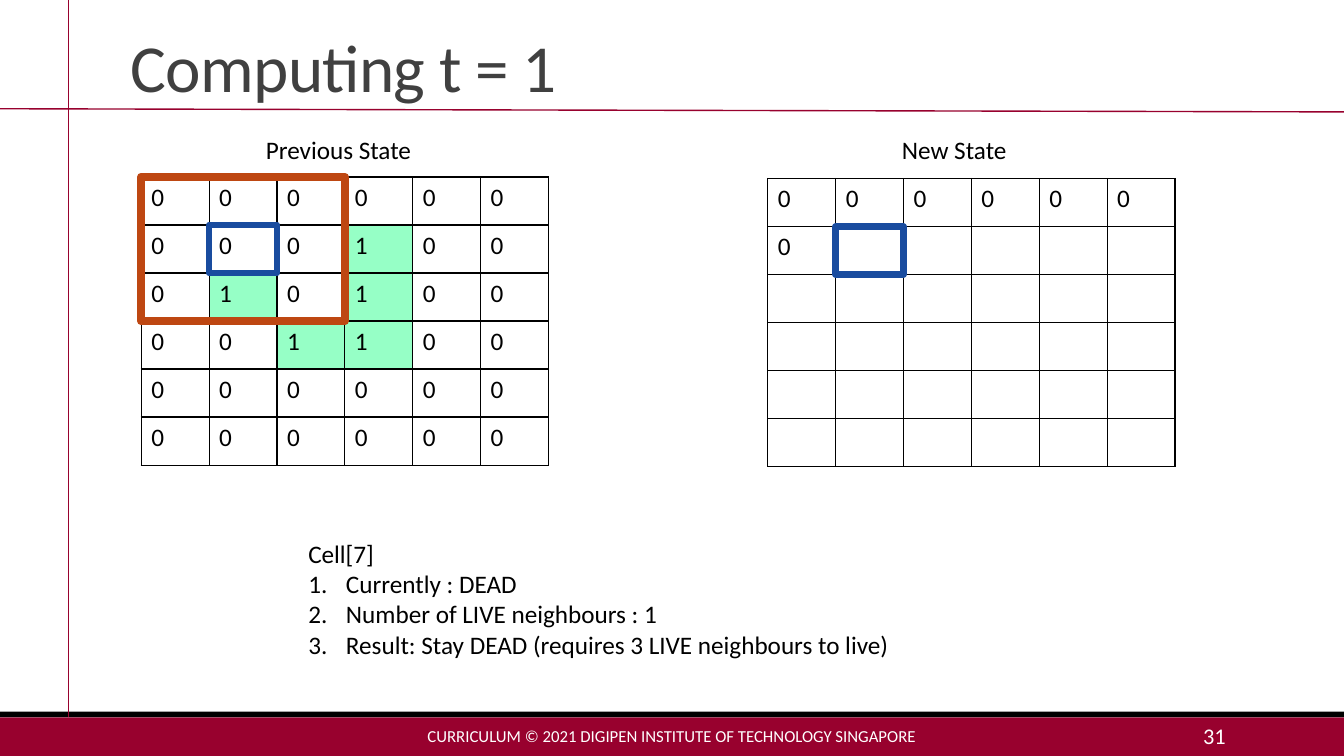
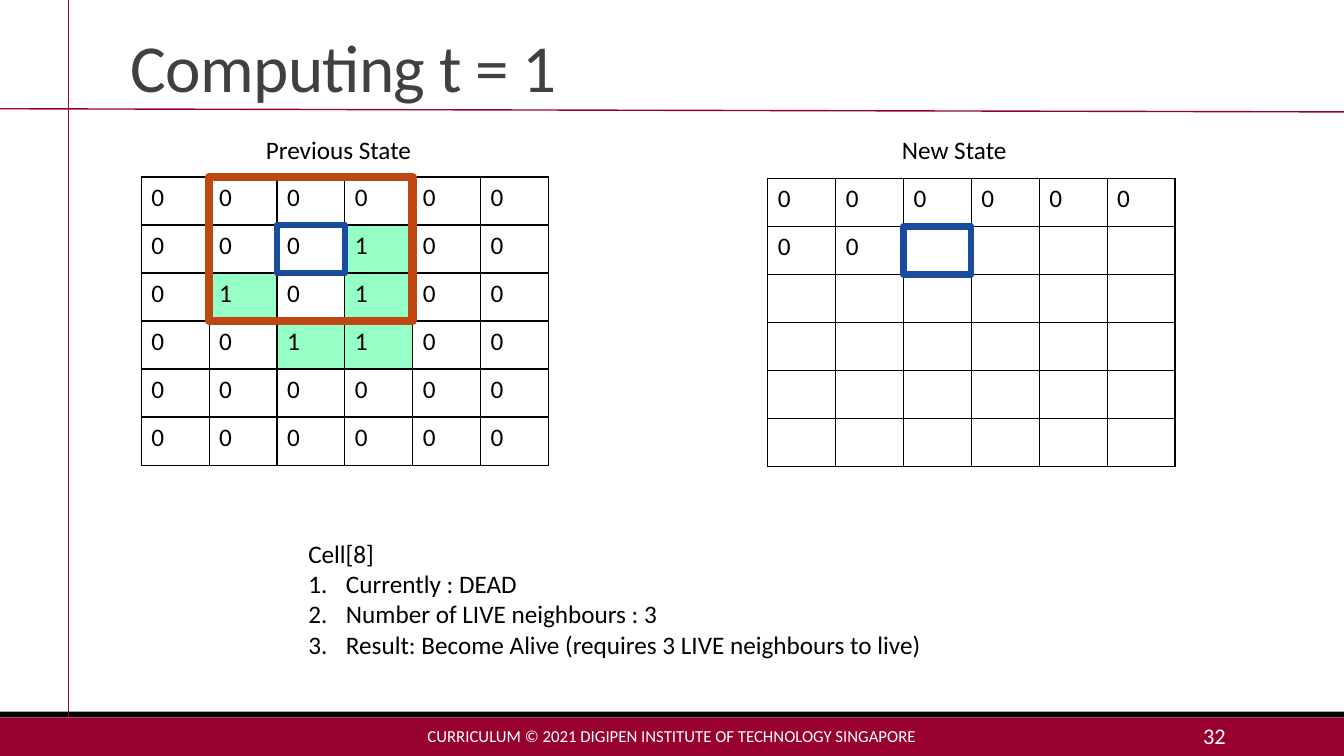
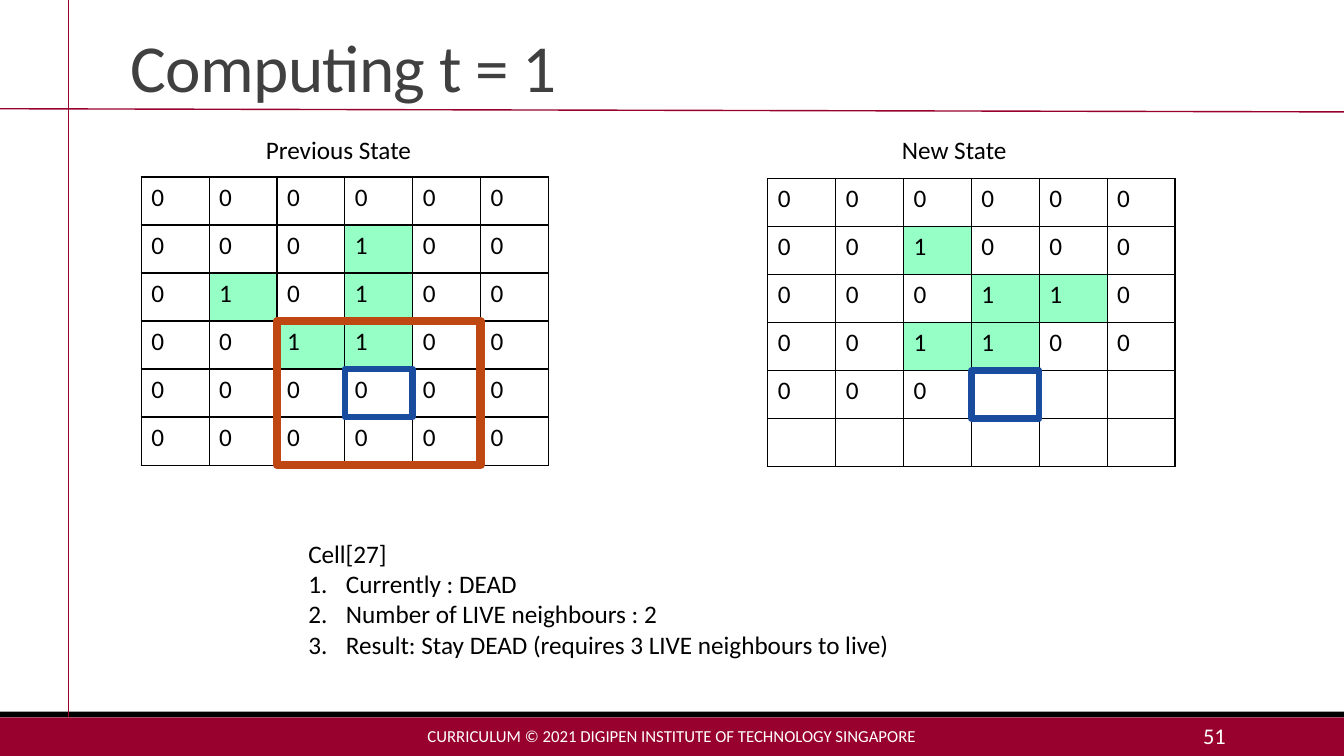
from dataclasses import dataclass

from lxml.etree import SubElement
from pptx import Presentation
from pptx.dml.color import RGBColor
from pptx.enum.shapes import MSO_CONNECTOR as CONNECTOR, MSO_SHAPE as SHAPE
from pptx.enum.text import MSO_ANCHOR as ANCHOR, MSO_AUTO_SIZE as AUTO, PP_ALIGN as ALIGN
from pptx.oxml.ns import qn
from pptx.util import Cm, Pt

FONT = "Calibri"
CRIMSON, BLACK, WHITE, GREY = "98012E", "000000", "FFFFFF", "404040"
ALIVE, ORANGE, BLUE = "96FFC6", "BE4712", "194C9F"
WIDTH, HEIGHT = 33.87, 19.05
BAND_TOP = 18.08

N = 6
COL, ROW = 1.71, 1.21
PREVIOUS = "000000" "000100" "010100" "001100" "000000" "000000"
NEXT = "000000" "001000" "000110" "001100" "000000" "000000"


@dataclass
class Grid:
    """A table of N by N cells; lengths in cm."""
    title: str
    title_left: float
    left: float
    top: float


@dataclass
class Step:
    """One slide: the cell being computed and its outcome."""
    page: int
    cell: int
    neighbours: int
    result: str


OLD = Grid("Previous State", 6.45, 3.56, 4.46)
NEW = Grid("New State", 22.48, 19.35, 4.5)
STEPS = [
    Step(31, 7, 1, "Stay DEAD"),
    Step(32, 8, 3, "Become Alive"),
    Step(51, 27, 2, "Stay DEAD"),
]


def rgb(value: str) -> RGBColor:
    return RGBColor.from_string(value)


def style(p, size: float, color: str) -> None:
    for r in p.runs:
        r.font.name, r.font.size = FONT, Pt(size)
        r.font.color.rgb = rgb(color)


def add_text(s, box: tuple, text: str, size: float = 18, color: str = BLACK,
             anchor=ANCHOR.TOP, align=ALIGN.LEFT, auto=AUTO.NONE):
    tf = s.shapes.add_textbox(*map(Cm, box)).text_frame
    tf.word_wrap, tf.auto_size, tf.vertical_anchor = True, auto, anchor
    tf.text = text
    for p in tf.paragraphs:
        p.alignment = align
        style(p, size, color)
    return tf


def add_rect(s, box: tuple, fill: str = "", line: str = "", weight: float = 0) -> None:
    sp = s.shapes.add_shape(SHAPE.RECTANGLE, *map(Cm, box))
    sp.shadow.inherit = False
    if fill:
        sp.fill.solid()
        sp.fill.fore_color.rgb = rgb(fill)
    else:
        sp.fill.background()
    if line:
        sp.line.color.rgb, sp.line.width = rgb(line), Pt(weight)
    else:
        sp.line.fill.background()


def add_rule(s, x1: float, y1: float, x2: float, y2: float) -> None:
    c = s.shapes.add_connector(CONNECTOR.STRAIGHT, Cm(x1), Cm(y1), Cm(x2), Cm(y2))
    c.line.color.rgb, c.line.width = rgb(CRIMSON), Pt(1)
    SubElement(c._element.spPr, qn("a:effectLst"))


def add_frame(s, page: int) -> None:
    """Bands, rules, title and footer shared by all slides."""
    add_rect(s, (0, BAND_TOP, WIDTH, HEIGHT - BAND_TOP), CRIMSON)
    add_rect(s, (0, 17.93, WIDTH, 0.14), BLACK)
    add_rule(s, 1.73, 0, 1.73, BAND_TOP)
    add_rule(s, 0, 2.74, WIDTH, 2.82)
    p = add_text(s, (3.05, 0.41, 27.94, 2.39), "Computing t = 1", 48, GREY,
                 ANCHOR.BOTTOM).paragraphs[0]
    p.line_spacing = 0.85
    p.runs[0].font._element.set("spc", "-50")
    add_text(s, (10.24, 18.03, 13.39, 1.02),
             "CURRICULUM © 2021 DIGIPEN INSTITUTE OF TECHNOLOGY SINGAPORE",
             12, WHITE, ANCHOR.MIDDLE, ALIGN.CENTER)
    add_text(s, (27.51, 18.03, 3.63, 1.02), str(page), 16, WHITE,
             ANCHOR.MIDDLE, ALIGN.RIGHT)


def add_borders(cell) -> None:
    tc_pr = cell._tc.get_or_add_tcPr()
    for side in "LRTB":
        ln = SubElement(tc_pr, qn(f"a:ln{side}"), w=str(Pt(1)))
        SubElement(SubElement(ln, qn("a:solidFill")), qn("a:srgbClr"), val=BLACK)


def add_grid(s, grid: Grid, values: str) -> None:
    """Draw the grid and its title; cells past the end of values stay empty."""
    table = s.shapes.add_table(N, N, Cm(grid.left), Cm(grid.top),
                               Cm(N * COL), Cm(N * ROW)).table
    table.first_row = table.horz_banding = False
    for i in range(N):
        table.columns[i].width, table.rows[i].height = Cm(COL), Cm(ROW)
    for i, cell in enumerate(table.iter_cells()):
        value = values[i:i + 1]
        add_borders(cell)
        cell.fill.solid()
        cell.fill.fore_color.rgb = rgb(ALIVE if value == "1" else WHITE)
        if value:
            cell.text_frame.text = value
            style(cell.text_frame.paragraphs[0], 18, BLACK)
    add_text(s, (grid.title_left, 3.25, 4.47, 1.02), grid.title,
             auto=AUTO.SHAPE_TO_FIT_TEXT)


def mark_cells(s, grid: Grid, index: int, reach: int, color: str, weight: float) -> None:
    """Outline a cell and its neighbours up to reach cells away."""
    row, col = divmod(index, N)
    span = 2 * reach + 1
    add_rect(s, (grid.left + (col - reach) * COL, grid.top + (row - reach) * ROW,
                 span * COL, span * ROW), line=color, weight=weight)


def add_explanation(s, step: Step) -> None:
    lines = [
        f"Cell[{step.cell}]",
        "Currently : DEAD",
        f"Number of LIVE neighbours : {step.neighbours}",
        f"Result: {step.result} (requires 3 LIVE neighbours to live)",
    ]
    tf = add_text(s, (7.52, 13.44, 17.2, 3.33), "\n".join(lines),
                  auto=AUTO.SHAPE_TO_FIT_TEXT)
    for p in tf.paragraphs[1:]:
        p_pr = p._p.get_or_add_pPr()
        p_pr.set("marL", str(Cm(0.95)))
        p_pr.set("indent", str(-Cm(0.95)))
        SubElement(p_pr, qn("a:buAutoNum"), type="arabicPeriod")


def add_step(prs, step: Step) -> None:
    s = prs.slides.add_slide(prs.slide_layouts[6])
    add_frame(s, step.page)
    add_grid(s, OLD, PREVIOUS)
    add_explanation(s, step)
    add_grid(s, NEW, NEXT[:step.cell])
    mark_cells(s, OLD, step.cell, 1, ORANGE, 6)
    for grid in (OLD, NEW):
        mark_cells(s, grid, step.cell, 0, BLUE, 4.5)


def main() -> None:
    prs = Presentation()
    prs.slide_width, prs.slide_height = Cm(WIDTH), Cm(HEIGHT)
    for step in STEPS:
        add_step(prs, step)
    prs.save("out.pptx")


if __name__ == "__main__":
    main()
